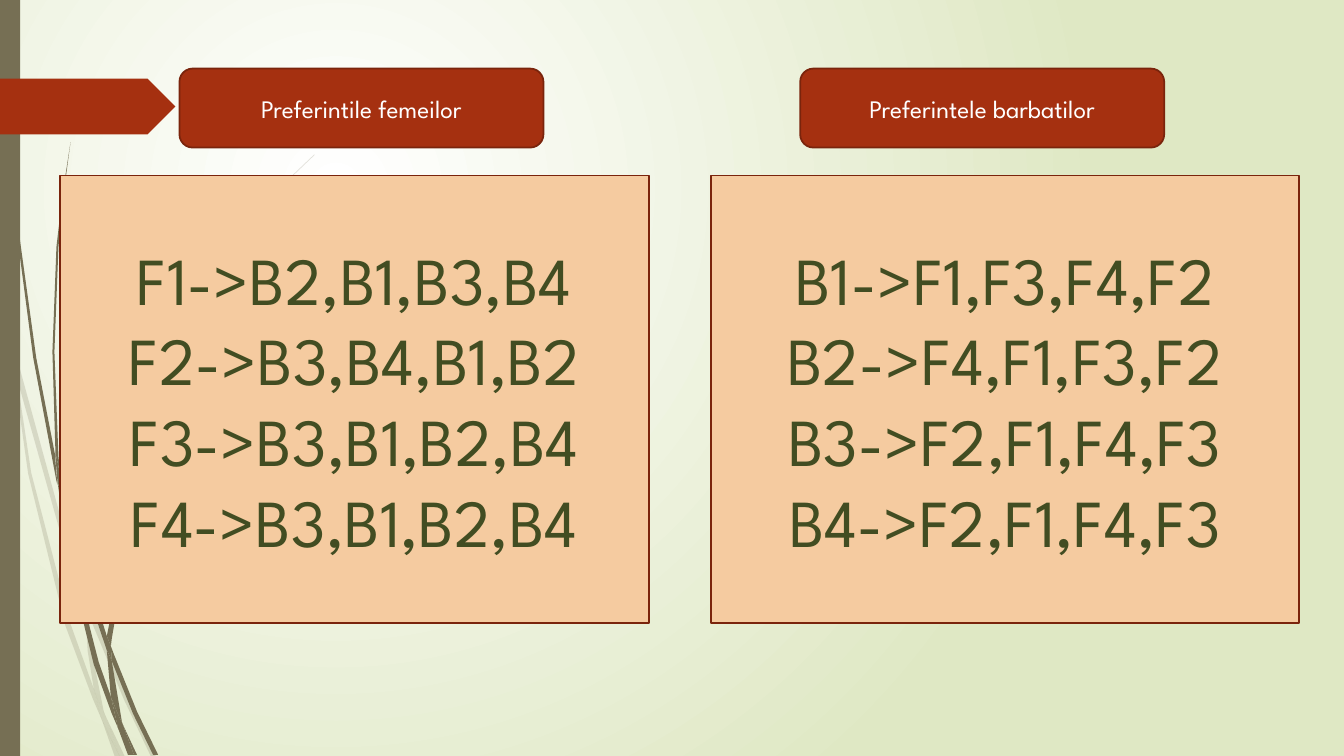
import lxml.etree
import pptx
import pptx.dml.color
import pptx.enum.shapes
import pptx.enum.text
import pptx.oxml
import pptx.oxml.ns
import pptx.util

Pt = pptx.util.Pt
RGBColor = pptx.dml.color.RGBColor
PRESET = pptx.enum.shapes.MSO_SHAPE
ALIGN = pptx.enum.text.PP_ALIGN
ANCHOR = pptx.enum.text.MSO_ANCHOR
AUTO_SIZE = pptx.enum.text.MSO_AUTO_SIZE

WHITE = RGBColor(0xFF, 0xFF, 0xFF)
PALE_GREEN = RGBColor(0xDF, 0xE8, 0xC4)
OLIVE = RGBColor(0x76, 0x6F, 0x54)
RUST = RGBColor(0xA5, 0x30, 0x10)
DARK_RUST = RGBColor(0x7A, 0x24, 0x0C)
PEACH = RGBColor(0xF5, 0xCB, 0xA0)
DARK_GREEN = RGBColor(0x42, 0x4D, 0x22)

FONT = "League Spartan"
WIDTH, HEIGHT = 960, 540
GRASS_UNIT = Pt(0.72)
PALE_OPACITY = 20

PALE_GRASS = [
    [(11, 350), (9, 322), (0, 282), (0, 299), (10, 344)],
    [(58, 522), (84, 599), (85, 586), (62, 520), (14, 345), (17, 376)],
    [(92, 607), (88, 596), (88, 610), (123, 694), (150, 751), (155, 751), (127, 692)],
    [(119, 751), (124, 751), (105, 711)],
    [(93, 683), (70, 619), (31, 469), (17, 376), (11, 350), (28, 470), (65, 621),
     (92, 693), (101, 714), (99, 707)],
    [(84, 599), (87, 646), (93, 683), (96, 692), (105, 711), (103, 706), (91, 646),
     (88, 610), (88, 608)],
    [(88, 584), (110, 462), (160, 349), (229, 245), (268, 198), (290, 175), (312, 154),
     (312, 153), (289, 175), (268, 197), (228, 244), (158, 348), (107, 461), (85, 584),
     (85, 586), (88, 596)],
    [(101, 714), (114, 751), (119, 751)],
    [(96, 692), (93, 683), (99, 707), (101, 714), (119, 751), (105, 711)],
]
SOLID_GRASS = [
    [(7, 110), (17, 233), (33, 355), (56, 477), (57, 481), (55, 457), (55, 453), (36, 355),
     (19, 232), (8, 109), (5, 48), (4, 0), (3, 0), (4, 48)],
    [(88, 592), (106, 645), (106, 633), (106, 631), (93, 590), (60, 472), (64, 505)],
    [(113, 649), (110, 641), (111, 656), (132, 708), (152, 749), (157, 749), (136, 706)],
    [(110, 691), (98, 657), (72, 556), (64, 505), (57, 477), (68, 557), (93, 659),
     (111, 708), (117, 722), (116, 717)],
    [(60, 472), (58, 453), (54, 349), (58, 245), (63, 193), (70, 141), (62, 193), (56, 245),
     (52, 349), (55, 449)],
    [(133, 749), (136, 749), (122, 719)],
    [(57, 477), (64, 505), (60, 472), (55, 449), (55, 453)],
    [(111, 633), (125, 552), (158, 476), (205, 406), (231, 374), (245, 359), (261, 344),
     (260, 344), (245, 358), (231, 373), (204, 405), (156, 474), (122, 551), (106, 631),
     (110, 641)],
    [(117, 722), (127, 749), (131, 749)],
    [(106, 645), (110, 691), (116, 706), (122, 719), (121, 716), (111, 656), (109, 651)],
    [(106, 645), (109, 651), (111, 656), (110, 641), (106, 631), (106, 633)],
    [(116, 706), (110, 691), (116, 717), (117, 722), (130, 749), (133, 749), (122, 719)],
]

COLUMNS = [
    {"left": 507.6, "header_offset": 64, "header": "Preferintele barbatilor",
     "lines": ["B1->F1,F3,F4,F2", "B2->F4,F1,F3,F2", "B3->F2,F1,F4,F3", "B4->F2,F1,F4,F3"]},
    {"left": 42.9, "header_offset": 85.3, "header": "Preferintile femeilor",
     "lines": ["F1->B2,B1,B3,B4", "F2->B3,B4,B1,B2", "F3->B3,B1,B2,B4", "F4->B3,B1,B2,B4"]},
]


def apply(target, values):
    for name, value in values.items():
        setattr(target, name, value)


def paint(shape, fill, line=None):
    shape.fill.solid()
    shape.fill.fore_color.rgb = fill
    if line is None:
        shape.line.fill.background()
    else:
        shape.line.color.rgb = line
        shape.line.width = Pt(1.25)


def write_lines(shape, lines, size, color):
    frame = shape.text_frame
    frame.text = "\n".join(lines)
    apply(frame, {"word_wrap": True, "auto_size": AUTO_SIZE.NONE, "vertical_anchor": ANCHOR.MIDDLE})
    for paragraph in frame.paragraphs:
        apply(paragraph, {"alignment": ALIGN.CENTER, "space_before": Pt(0)})
        apply(paragraph.font, {"name": FONT, "size": Pt(size)})
        paragraph.font.color.rgb = color


def add_preset(slide, preset, box, fill, line=None):
    shape = slide.shapes.add_shape(preset, *map(Pt, box))
    shape.shadow.inherit = False
    paint(shape, fill, line)
    return shape


def set_background(slide):
    fill = slide.background.fill
    fill.gradient()
    for stop, position, color in zip(fill.gradient_stops, (0, 1), (WHITE, PALE_GREEN)):
        stop.position = position
        stop.color.rgb = color
    gradient = slide.background._cSld.find(".//" + pptx.oxml.ns.qn("a:gradFill"))
    linear = gradient.find(pptx.oxml.ns.qn("a:lin"))
    radial = pptx.oxml.parse_xml(
        f'<a:path {pptx.oxml.ns.nsdecls("a")} path="circle">'
        '<a:fillToRect l="50000" t="50000" r="100000" b="100000"/></a:path>')
    gradient.replace(linear, radial)


def add_grass(slide, blades, left, top, opacity):
    group = slide.shapes.add_group_shape()
    for outline in blades:
        builder = group.shapes.build_freeform(*outline[0], scale=GRASS_UNIT)
        builder.add_line_segments(outline[1:], close=True)
        blade = builder.convert_to_shape(Pt(left), Pt(top))
        blade.shadow.inherit = False
        paint(blade, OLIVE)
        if opacity < 100:
            color = blade._element.spPr.find(".//" + pptx.oxml.ns.qn("a:srgbClr"))
            lxml.etree.SubElement(color, pptx.oxml.ns.qn("a:alpha"), val=str(opacity * 1000))


def add_decoration(slide, left, top, height):
    add_grass(slide, PALE_GRASS, left, top, PALE_OPACITY)
    add_grass(slide, SOLID_GRASS, left, top, 100)
    add_preset(slide, PRESET.RECTANGLE, (left, top, 14.4, height), OLIVE)
    add_preset(slide, PRESET.PENTAGON, (left, top + 56.2, 125.3, 39.8), RUST)


def add_list(slide, placeholder, lines, box):
    slide.shapes._spTree.append(placeholder._element)
    apply(placeholder, dict(zip(("left", "top", "width", "height"), map(Pt, box))))
    paint(placeholder, PEACH, DARK_RUST)
    write_lines(placeholder, lines, 48, DARK_GREEN)
    for paragraph in placeholder.text_frame.paragraphs:
        properties = paragraph._p.get_or_add_pPr()
        properties.set("marL", "0")
        properties.set("indent", "0")
        lxml.etree.SubElement(properties, pptx.oxml.ns.qn("a:buNone"))


def add_header(slide, text, box):
    header = add_preset(slide, PRESET.ROUNDED_RECTANGLE, box, RUST, DARK_RUST)
    write_lines(header, [text], 18, WHITE)


def build_preferences_slide(presentation):
    slide = presentation.slides.add_slide(presentation.slide_layouts[3])
    title, *bodies = list(slide.placeholders)[:3]
    title._element.getparent().remove(title._element)
    set_background(slide)
    add_decoration(slide, 0, 0, HEIGHT)
    for body, column in zip(bodies, COLUMNS):
        add_list(slide, body, column["lines"], (column["left"], 125.3, 420.5, 319.9))
    for column in reversed(COLUMNS):
        header_left = column["left"] + column["header_offset"]
        add_header(slide, column["header"], (header_left, 49, 260, 56.4))


presentation = pptx.Presentation()
apply(presentation, {"slide_width": Pt(WIDTH), "slide_height": Pt(HEIGHT)})
build_preferences_slide(presentation)
presentation.save("out.pptx")
